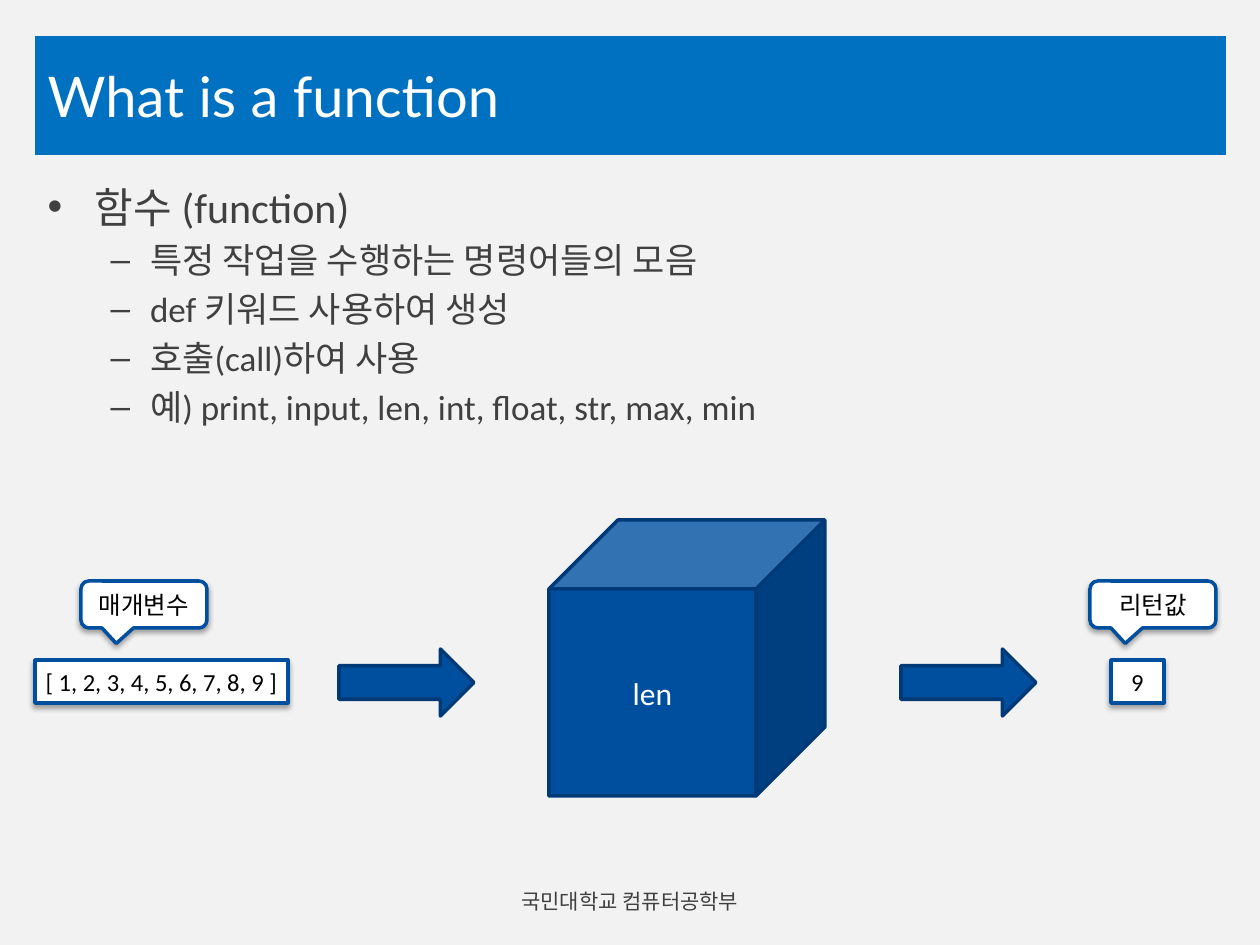
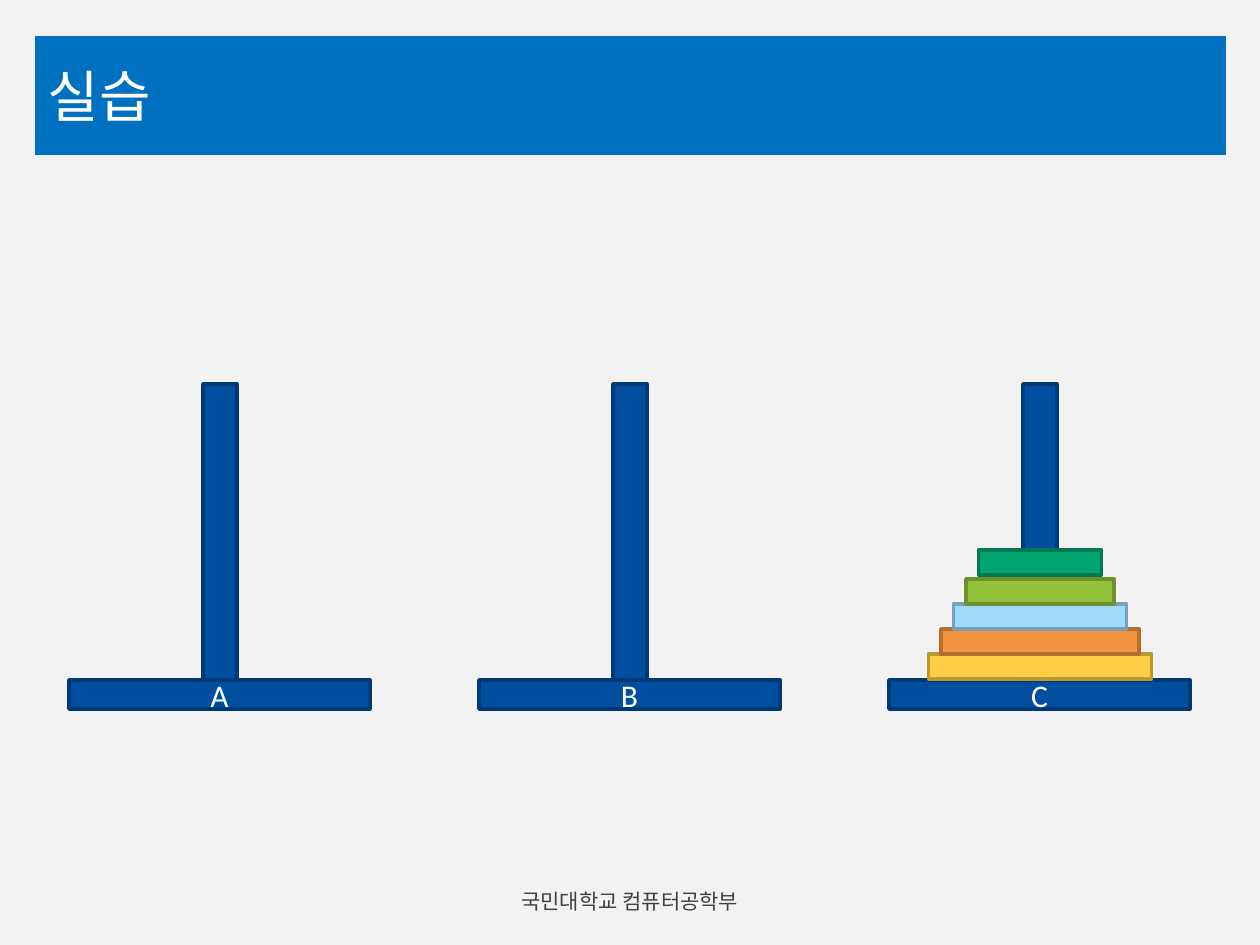
from lxml import etree
from pptx import Presentation
from pptx.dml.color import RGBColor
from pptx.enum.shapes import MSO_SHAPE as Shape
from pptx.enum.text import MSO_ANCHOR as Anchor, PP_ALIGN as Align
from pptx.oxml import parse_xml
from pptx.oxml.ns import qn
from pptx.util import Emu, Pt

PX = 914400 / 126
COLORS = {
    "background": "F2F2F2", "band": "0070C0", "text": "404040",
    "blue": "004F9F", "navy": "003A76", "white": "FFFFFF", "black": "000000",
}
SHADOW = (
    '<a:effectLst xmlns:a="http://schemas.openxmlformats.org/drawingml/2006/main">'
    '<a:outerShdw blurRad="38100" dist="22860" dir="5400000" rotWithShape="0">'
    '<a:srgbClr val="000000"><a:alpha val="35000"/></a:srgbClr>'
    '</a:outerShdw></a:effectLst>'
)


def style_text(paragraph, size, font, color, align=Align.LEFT):
    paragraph.alignment = align
    paragraph.font.size = Pt(size)
    paragraph.font.name = font
    paragraph.font.color.rgb = RGBColor.from_string(color)


def add_box(shapes, kind, box, fill, line, text="", size=18, font="Calibri",
            color=COLORS["white"], shadow=False):
    shape = shapes.add_shape(kind, *(Emu(round(n * PX)) for n in box))
    shape.fill.solid()
    shape.fill.fore_color.rgb = RGBColor.from_string(fill)
    shape.line.color.rgb = RGBColor.from_string(line)
    shape.line.width = Pt(2)
    shape.shadow.inherit = False
    if shadow:
        properties = shape.element.spPr
        properties.replace(properties.find(qn("a:effectLst")), parse_xml(SHADOW))
    if text:
        frame = shape.text_frame
        frame.word_wrap = False
        frame.vertical_anchor = Anchor.MIDDLE
        frame.margin_left = frame.margin_right = Emu(round(6 * PX))
        frame.margin_top = frame.margin_bottom = Emu(round(6 * PX))
        frame.text = text
        style_text(frame.paragraphs[0], size, font, color, Align.CENTER)
    return shape


presentation = Presentation()
presentation.slide_width = Emu(round(1260 * PX))
presentation.slide_height = Emu(round(945 * PX))
background = presentation.slide_master.background.fill
background.solid()
background.fore_color.rgb = RGBColor.from_string(COLORS["background"])

# Shared title band and footer
slides = []
for title_text, layout in (("What is a function", 1), ("실습", 5)):
    slide = presentation.slides.add_slide(presentation.slide_layouts[layout])
    slides.append(slide)
    title = slide.shapes.title
    title.left, title.top, title.width, title.height = (
        Emu(round(n * PX)) for n in (35, 36, 1191, 119))
    title.fill.solid()
    title.fill.fore_color.rgb = RGBColor.from_string(COLORS["band"])
    title.text_frame.text = title_text
    title.text_frame.vertical_anchor = Anchor.MIDDLE
    style_text(title.text_frame.paragraphs[0], 32, "Lato", COLORS["white"])

    footer = slide.shapes.add_textbox(
        *(Emu(round(n * PX)) for n in (392, 876, 476, 50))).text_frame
    footer.word_wrap = True
    footer.vertical_anchor = Anchor.MIDDLE
    footer.text = "국민대학교 컴퓨터공학부"
    style_text(footer.paragraphs[0], 12, "Lato", COLORS["text"], Align.CENTER)

function_slide, practice_slide = slides

# Function: definition list
body = function_slide.placeholders[1]
body.left, body.top, body.width, body.height = (
    Emu(round(n * PX)) for n in (35, 175, 1191, 665))
body.text_frame.text = "\n".join([
    "함수 (function)",
    "특정 작업을 수행하는 명령어들의 모음",
    "def 키워드 사용하여 생성",
    "호출(call)하여 사용",
    "예) print, input, len, int, float, str, max, min",
])
for index, paragraph in enumerate(body.text_frame.paragraphs):
    paragraph.level = 1 if index else 0
    style_text(paragraph, 20 if index else 24, "Calibri", COLORS["text"])
body.text_frame.paragraphs[0].space_before = Pt(0)

# Function: input, black box and output
shapes = function_slide.shapes
add_box(shapes, Shape.CUBE, (549, 520, 276, 276),
        COLORS["blue"], COLORS["navy"], "len")
for left in (339, 901):
    add_box(shapes, Shape.RIGHT_ARROW, (left, 649, 135, 67),
            COLORS["blue"], COLORS["navy"])
for left, width, value in ((35, 253, "[ 1, 2, 3, 4, 5, 6, 7, 8, 9 ]"),
                           (1111, 53, "9")):
    add_box(shapes, Shape.RECTANGLE, (left, 660, width, 43), COLORS["white"],
            COLORS["blue"], value, 14, color=COLORS["black"], shadow=True)
for left, label in ((81, "매개변수"), (1090, "리턴값")):
    callout = add_box(shapes, Shape.ROUNDED_RECTANGULAR_CALLOUT,
                      (left, 581, 126, 47), COLORS["white"], COLORS["blue"], label,
                      14, "Noto Sans CJK KR", COLORS["black"], shadow=True)
    for index, adjustment in enumerate((-0.22, 0.83, 0.17)):
        callout.adjustments[index] = adjustment

# Practice: three towers
for index, name in enumerate("ABC"):
    tower = practice_slide.shapes.add_group_shape().shapes
    left = 69 + 410 * index
    add_box(tower, Shape.RECTANGLE, (left + 134, 384, 34, 296),
            COLORS["blue"], COLORS["navy"])
    add_box(tower, Shape.RECTANGLE, (left, 680, 301, 29),
            COLORS["blue"], COLORS["navy"], name)

# Practice: disks on tower C, widest first
disks = [
    ("FFCE44", "BD9832", 654), ("F3953F", "B46E2F", 629),
    ("A1DAF8", "77A1B7", 604), ("95C23D", "6E902D", 579),
    ("00A470", "007953", 550),
]
for index, (fill, line, top) in enumerate(disks):
    width = 223 - 25 * index
    add_box(practice_slide.shapes, Shape.RECTANGLE,
            (1040 - width / 2, top, width, 25), fill, line)

presentation.save("out.pptx")
